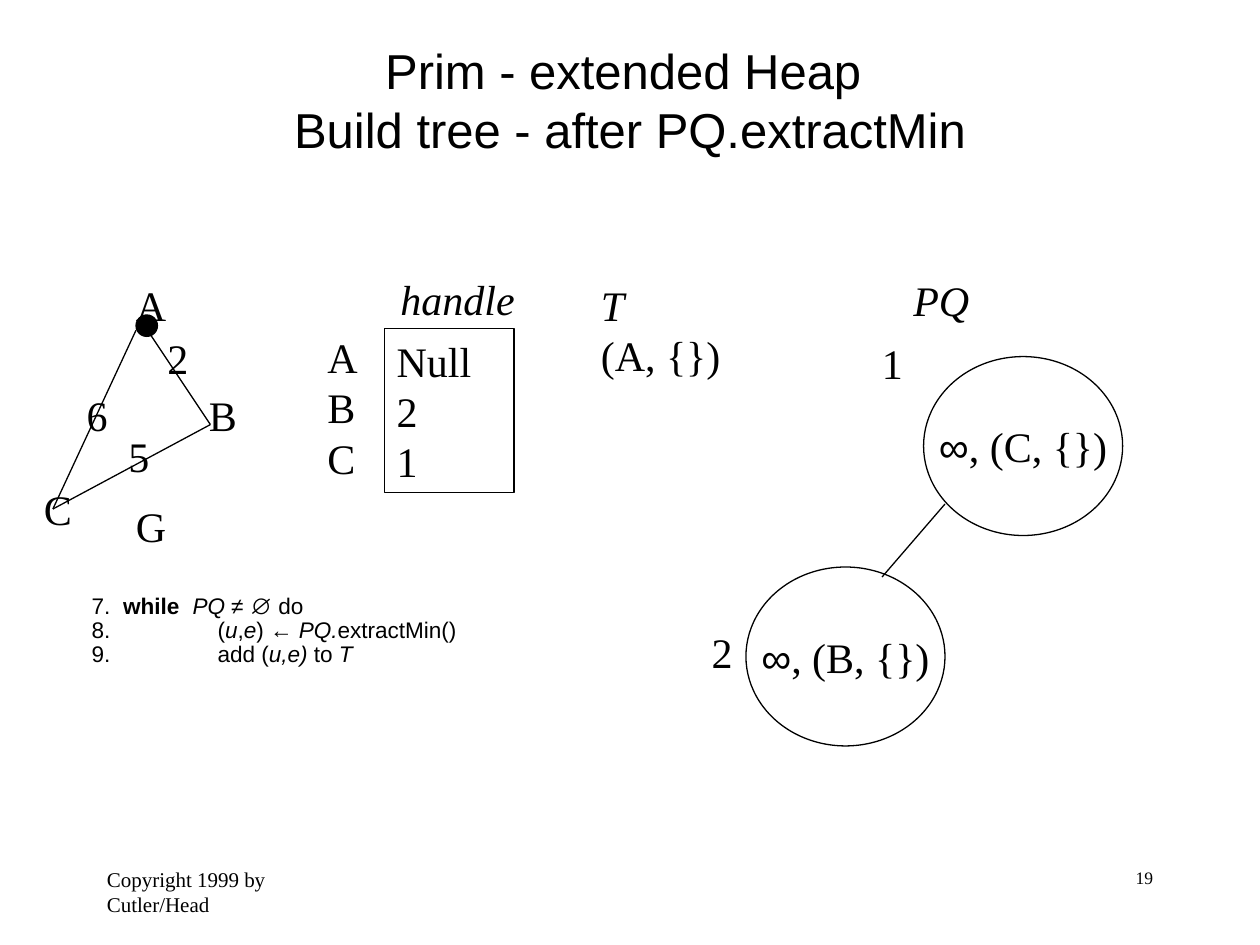
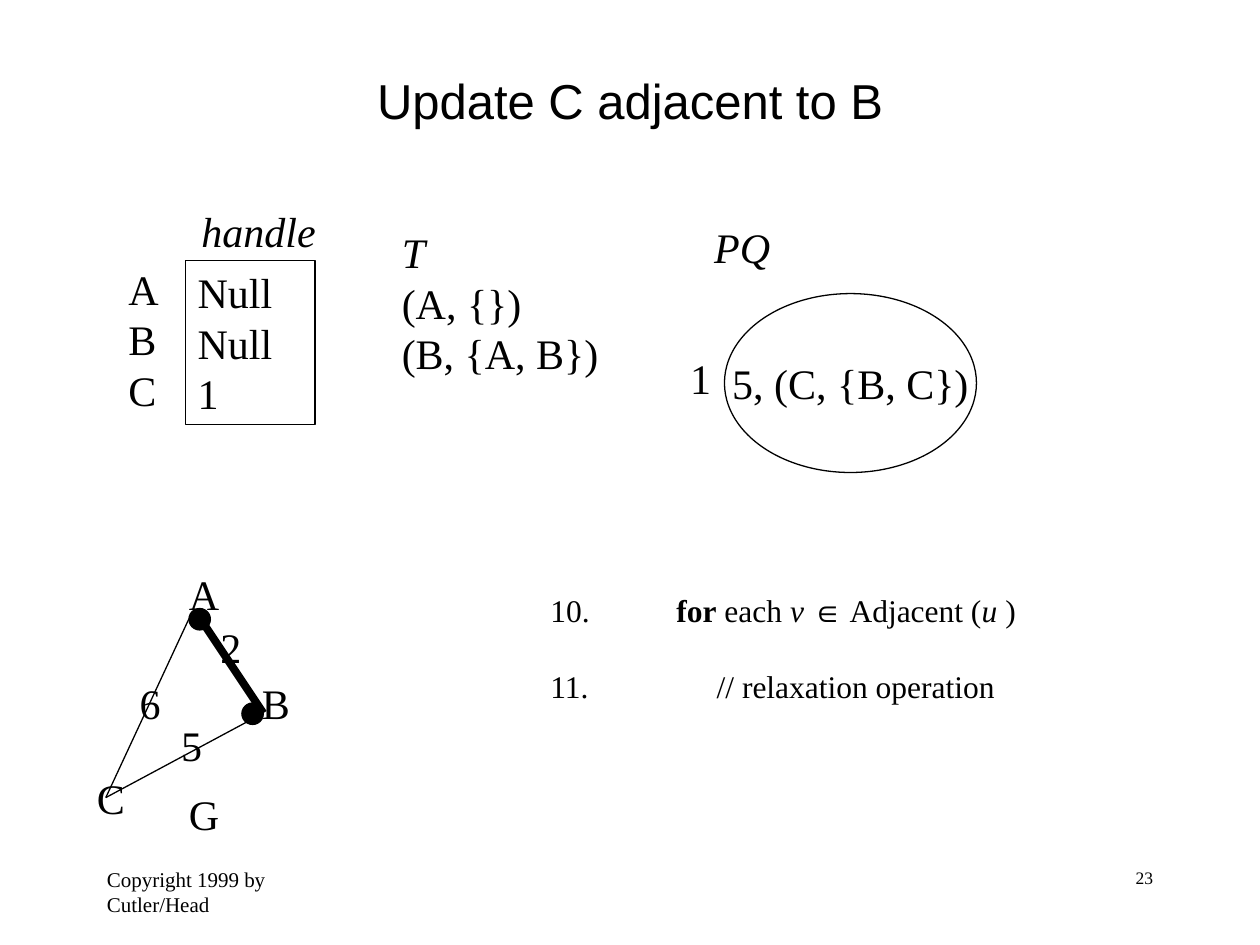
"""Build two slides that trace Prim's algorithm with an extended heap."""
from lxml.etree import SubElement
from pptx import Presentation
from pptx.dml.color import RGBColor
from pptx.enum.shapes import MSO_CONNECTOR, MSO_SHAPE
from pptx.enum.text import MSO_ANCHOR, PP_ALIGN
from pptx.oxml.ns import qn
from pptx.util import Inches, Pt

INK = RGBColor.from_string("000000")
SERIF, SANS = "Times New Roman", "Arial"


def write(shape, paragraphs, size=24, font=SERIF, align=PP_ALIGN.LEFT, wrap=False,
          anchor=MSO_ANCHOR.TOP, tabs=(), spacing=None, before=0):
    """Fill a shape; a run is a string or (text, marks): b bold, i italic, s sans."""
    frame = shape.text_frame
    frame.word_wrap = wrap
    frame.vertical_anchor = anchor
    for index, runs in enumerate(paragraphs):
        paragraph = frame.add_paragraph() if index else frame.paragraphs[0]
        paragraph.alignment = align
        if spacing:
            paragraph.line_spacing = spacing
        if index and before:
            paragraph.space_before = Pt(before)
        if tabs:
            stops = SubElement(paragraph._p.get_or_add_pPr(), qn("a:tabLst"))
            for stop in tabs[index]:
                SubElement(stops, qn("a:tab"), pos=str(Inches(stop)), algn="l")
        for part in [runs] if isinstance(runs, str) else runs:
            text, marks = (part, "") if isinstance(part, str) else part
            run = paragraph.add_run()
            run.text = text
            run.font.size = Pt(size)
            run.font.name = SANS if "s" in marks else font
            run.font.bold = "b" in marks
            run.font.italic = "i" in marks
            run.font.color.rgb = INK


def add_label(slide, left, top, width, height, paragraphs, **style):
    """Add a text box holding the given paragraphs."""
    box = slide.shapes.add_textbox(Inches(left), Inches(top), Inches(width), Inches(height))
    write(box, paragraphs, **style)


extract_min = {
    "title": ["Prim - extended Heap ", "Build tree - after PQ.extractMin"],
    "number": "19",
    "handle_at": (2.5, 2.12),
    "handles": ["Null", "2", "1"],
    "tree_at": (4.67, 2.17),
    "tree": ["(A, {})"],
    "queue_at": (7.15, 2.13),
    "heap": [
        (7.33, 2.83, 1.58, [("∞", "s"), ", (C, {})"]),
        (5.92, 4.5, 1.58, [("∞", "s"), ", (B, {})"]),
    ],
    "positions": [("1", 6.9, 2.63), ("2", 5.55, 4.92)],
    "heap_links": [(7.5, 4, 7, 4.58, 0.75)],
    "graph_at": (0.25, 2.17),
    "chosen_width": 0.75,
    "visited": [(1.08, 2.5)],
    "code_box": (0.63, 4.67, 4.2, 1),
    "code": [
        ["7.\t", ("while", "b"), "\t", ("PQ ", "i"), "≠ ∅ do"],
        ["8.\t(", ("u", "i"), ",", ("e", "i"), ") ← ", ("PQ.", "i"), "extractMin()"],
        ["9.\tadd (", ("u,e)", "i"), " to ", ("T", "i")],
    ],
    "code_style": dict(size=12.9, font=SANS, wrap=True, spacing=0.9,
                       tabs=[(0.25, 0.8), (1,), (1,)]),
}

update_c = {
    "title": ["Update C adjacent to B"],
    "number": "23",
    "handle_at": (0.92, 1.58),
    "handles": ["Null", "Null", "1"],
    "tree_at": (3.09, 1.75),
    "tree": ["(A, {})", "(B, {A, B})"],
    "queue_at": (5.57, 1.71),
    "heap": [(5.75, 2.33, 2, "5, (C, {B, C})")],
    "positions": [("1", 5.38, 2.75)],
    "heap_links": [],
    "graph_at": (0.67, 4.46),
    "chosen_width": 4.5,
    "visited": [(1.5, 4.83), (1.92, 5.58)],
    "code_box": (4.27, 4.64, 3.9, 1),
    "code": [
        ["10.\t", ("for", "b"), " each ", ("v ", "i"), ("∈", "s"),
         " Adjacent (", ("u", "i"), " )"],
        "11.\t// relaxation operation",
    ],
    "code_style": dict(size=18, before=22, tabs=[(1,), (1.32,)]),
}

graph_labels = [("A", 0.73, 0), ("B", 1.31, 0.87), ("C", 0, 1.62), ("2", 0.98, 0.42),
                ("5", 0.67, 1.2), ("6", 0.34, 0.87), ("G", 0.73, 1.75)]

prs = Presentation()
prs.slide_width, prs.slide_height = Inches(10), Inches(7.5)

for step in (extract_min, update_c):
    slide = prs.slides.add_slide(prs.slide_layouts[6])
    add_label(slide, 0.75, 0.33, 8.5, 0.92, step["title"], size=28, font=SANS,
              align=PP_ALIGN.CENTER, wrap=True, anchor=MSO_ANCHOR.MIDDLE)

    handle_x, handle_y = step["handle_at"]
    add_label(slide, handle_x + 0.58, handle_y, 1.2, 0.5, [[("handle", "i")]])
    add_label(slide, handle_x, handle_y + 0.46, 0.44, 1.3, ["A", "B", "C"])
    add_label(slide, *step["tree_at"], 1.25 if len(step["tree"]) == 1 else 1.85,
              0.5 + 0.4 * len(step["tree"]), [[("T", "i")], *step["tree"]])
    add_label(slide, *step["queue_at"], 0.75, 0.5, [[("PQ", "i")]])

    graph_x, graph_y = step["graph_at"]
    vertex_c = (graph_x + 0.17, graph_y + 1.87)
    vertex_b = (graph_x + 1.42, graph_y + 1.2)
    edge_top = graph_y + 0.45
    edges = [
        (graph_x + 0.83, edge_top, *vertex_c, 0.75),
        (graph_x + 0.92, edge_top, *vertex_b, step["chosen_width"]),
        (*vertex_b, *vertex_c, 0.75),
    ]
    for x1, y1, x2, y2, weight in edges + step["heap_links"]:
        edge = slide.shapes.add_connector(MSO_CONNECTOR.STRAIGHT, Inches(x1), Inches(y1),
                                          Inches(x2), Inches(y2))
        edge.line.color.rgb = INK
        edge.line.width = Pt(weight)
        SubElement(edge._element.spPr, qn("a:effectLst"))

    for name, dx, dy in graph_labels:
        add_label(slide, graph_x + dx, graph_y + dy, 0.36 if name.isdigit() else 0.43, 0.5, [name])
    for position, left, top in step["positions"]:
        add_label(slide, left, top, 0.36, 0.5, [position])

    centred = dict(align=PP_ALIGN.CENTER, anchor=MSO_ANCHOR.MIDDLE)
    outlines = [(MSO_SHAPE.RECTANGLE, handle_x + 0.55, handle_y + 0.49, 1.03, 1.3,
                 step["handles"], dict(wrap=True))]
    outlines += [(MSO_SHAPE.OVAL, left, top, width, 1.42, [entry], centred)
                 for left, top, width, entry in step["heap"]]
    outlines += [(MSO_SHAPE.OVAL, left, top, 0.17, 0.17, [], {})
                 for left, top in step["visited"]]
    for kind, left, top, width, height, content, style in outlines:
        outline = slide.shapes.add_shape(kind, Inches(left), Inches(top),
                                         Inches(width), Inches(height))
        outline.shadow.inherit = False
        outline.line.color.rgb = INK
        outline.line.width = Pt(0.75)
        if content:
            outline.fill.background()
            write(outline, content, **style)
        else:
            outline.fill.solid()
            outline.fill.fore_color.rgb = INK

    add_label(slide, *step["code_box"], step["code"], **step["code_style"])
    add_label(slide, 7.17, 6.83, 2.08, 0.5, [step["number"]], size=10,
              align=PP_ALIGN.RIGHT, wrap=True)
    add_label(slide, 0.75, 6.83, 2.08, 0.5, ["Copyright 1999 by Cutler/Head"], size=12, wrap=True)

prs.save("out.pptx")
